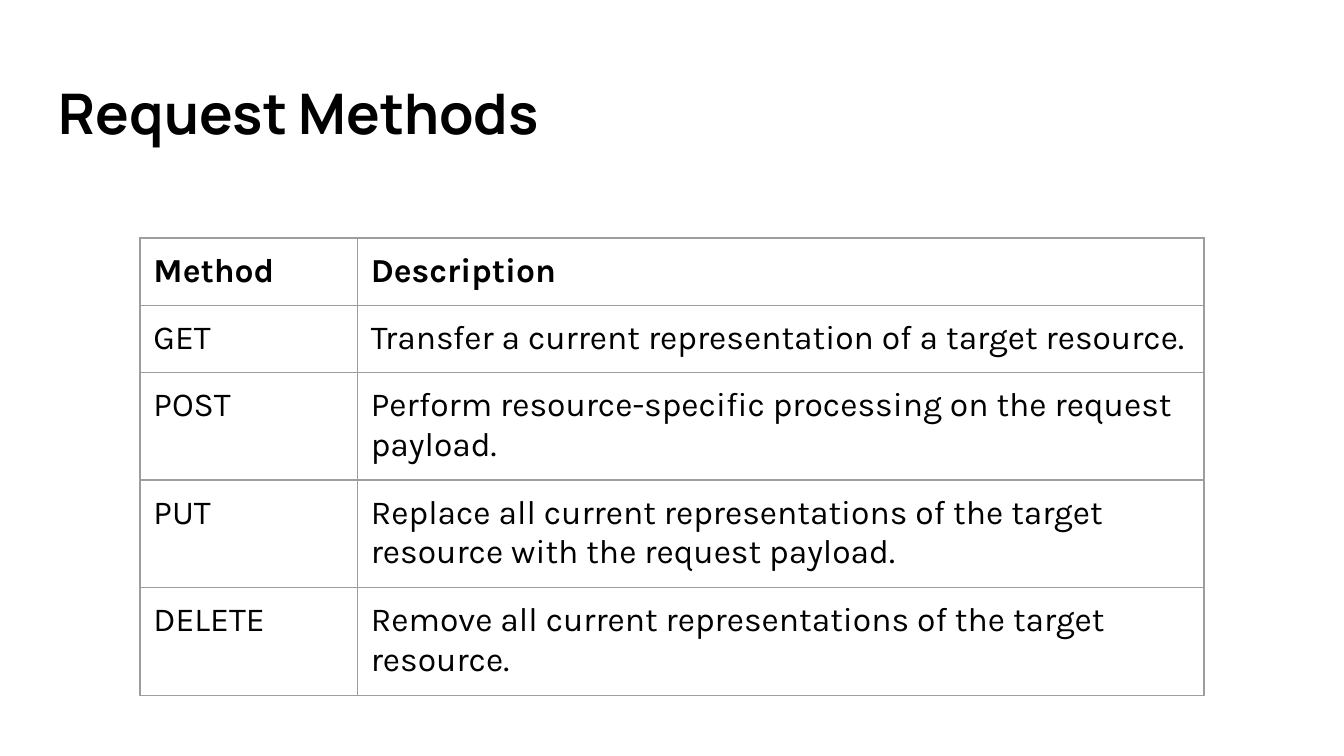
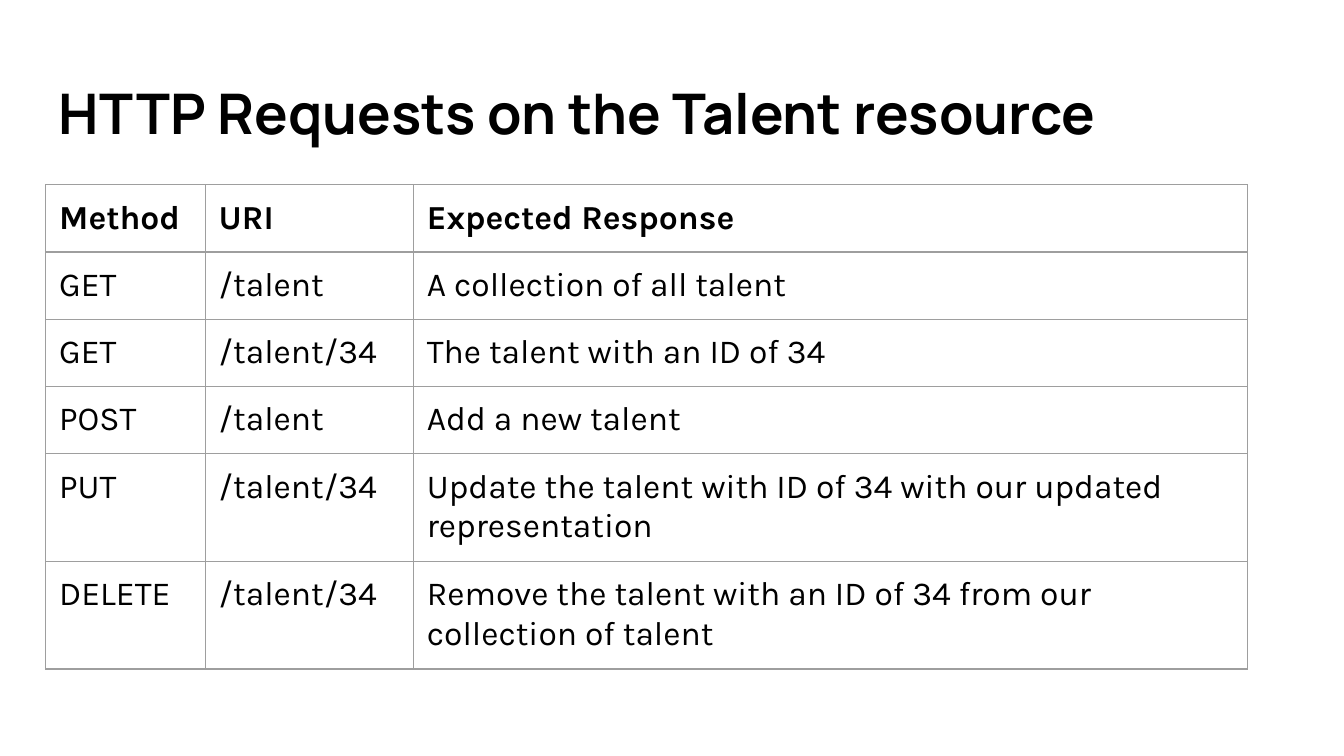
from lxml import etree
from pptx import Presentation
from pptx.dml.color import RGBColor
from pptx.enum.text import MSO_ANCHOR
from pptx.oxml.ns import qn
from pptx.util import Pt

MIDDLE = MSO_ANCHOR.MIDDLE
TOP = MSO_ANCHOR.TOP
BLANK = 6

COLORS = {"paper": "FFFFFF", "ink": "000000", "rule": "9E9E9E"}
FONTS = {
    "title": {"name": "Manrope", "size": Pt(30), "bold": True},
    "head": {"name": "Karla", "size": Pt(18), "bold": True},
    "body": {"name": "Karla", "size": Pt(18), "bold": False},
}
PAD = Pt(7.2)
INSETS = {f"margin_{side}": PAD for side in ("left", "top", "right", "bottom")}
ROW = 30

METHODS = [
    ("Method", "Description"),
    ("GET", "Transfer a current representation of a target resource."),
    ("POST", "Perform resource-specific processing on the request payload."),
    ("PUT", "Replace all current representations of the target resource "
            "with the request payload."),
    ("DELETE", "Remove all current representations of the target resource."),
]
CALLS = [
    ("Method", "URI", "Expected Response"),
    ("GET", "/talent", "A collection of all talent"),
    ("GET", "/talent/34", "The talent with an ID of 34"),
    ("POST", "/talent", "Add a new talent"),
    ("PUT", "/talent/34",
     "Update the talent with ID of 34 with our updated representation"),
    ("DELETE", "/talent/34",
     "Remove the talent with an ID of 34 from our collection of talent"),
]


def apply(target, values):
    for key, value in values.items():
        setattr(target, key, value)


class Deck:
    def __init__(self):
        self.prs = Presentation()
        apply(self.prs, {"slide_width": Pt(720), "slide_height": Pt(405)})
        self.slide = None

    def page(self, title):
        self.slide = self.prs.slides.add_slide(self.prs.slide_layouts[BLANK])
        fill = self.slide.background.fill
        fill.solid()
        fill.fore_color.rgb = RGBColor.from_string(COLORS["paper"])
        self.title(title)

    def text(self, frame, words, style):
        run = frame.paragraphs[0].add_run()
        run.text = words
        apply(run.font, FONTS[style])
        run.font.color.rgb = RGBColor.from_string(COLORS["ink"])

    def title(self, words):
        box = self.slide.shapes.add_textbox(Pt(24.5), Pt(35.3), Pt(671), Pt(49))
        frame = box.text_frame
        apply(frame, {"word_wrap": True, "vertical_anchor": MIDDLE, **INSETS})
        self.text(frame, words, "title")

    def border(self, cell):
        props = cell._tc.get_or_add_tcPr()
        for side in ("a:lnL", "a:lnR", "a:lnT", "a:lnB"):
            line = etree.SubElement(props, qn(side), w=str(Pt(0.75)))
            fill = etree.SubElement(line, qn("a:solidFill"))
            etree.SubElement(fill, qn("a:srgbClr"), val=COLORS["rule"])

    def table(self, left, top, widths, rows):
        grid = self.slide.shapes.add_table(
            len(rows), len(widths), Pt(left), Pt(top),
            Pt(sum(widths)), Pt(ROW * len(rows))).table
        apply(grid, {"first_row": False, "horz_banding": False})
        for column, width in zip(grid.columns, widths):
            column.width = Pt(width)
        for r, row in enumerate(rows):
            for c, words in enumerate(row):
                cell = grid.cell(r, c)
                apply(cell, {"vertical_anchor": TOP, **INSETS})
                self.border(cell)
                cell.fill.background()
                self.text(cell.text_frame, words, "body" if r else "head")


def main():
    deck = Deck()
    deck.page("Request Methods")
    deck.table(75, 127.5, (116.5, 453.5), METHODS)
    deck.page("HTTP Requests on the Talent resource")
    deck.table(24.5, 99, (85.5, 111.5, 447), CALLS)
    deck.prs.save("out.pptx")


if __name__ == "__main__":
    main()
